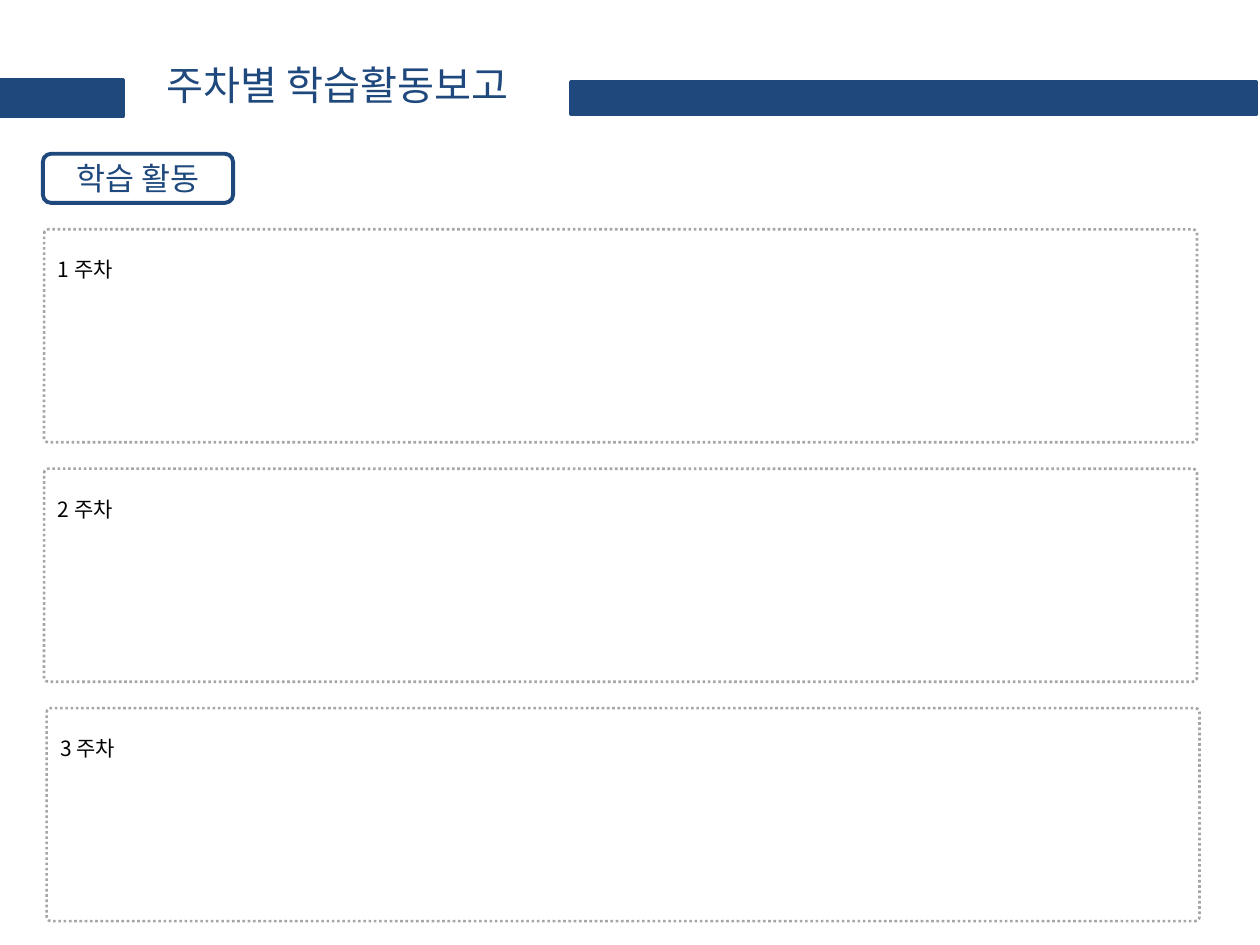
from pptx import Presentation
from pptx import util as u
from pptx.dml.color import RGBColor
from pptx.enum import dml, shapes, text
from pptx.oxml.ns import qn


class Theme:
    font = "Noto Sans CJK KR"
    navy = RGBColor(0x1F, 0x49, 0x7D)
    gray = RGBColor(0xA6, 0xA6, 0xA6)
    black = RGBColor(0, 0, 0)
    white = RGBColor(0xFF, 0xFF, 0xFF)
    title, label, body = 23, 18, 12


class Deck:
    def __init__(self, theme, slide):
        self.theme = theme
        self.slide = slide

    def letter(self, shape, words, size, color, align, anchor, top=0.05):
        """Put styled words into a shape."""
        frame = shape.text_frame
        frame.text = words
        frame.word_wrap = True
        frame.vertical_anchor = anchor
        frame.margin_top = u.Inches(top)
        para = frame.paragraphs[0]
        para.alignment = align
        font = para.runs[0].font
        font.size = u.Pt(size)
        font.name = self.theme.font
        font.color.rgb = color
        # Korean letters take the East Asian typeface
        east = font._element.makeelement(
            qn("a:ea"), {"typeface": self.theme.font})
        font._element.find(qn("a:latin")).addnext(east)

    def shape(self, kind, box, fill, line, width):
        item = self.slide.shapes.add_shape(kind, *map(u.Inches, box))
        item.shadow.inherit = False
        if fill is None:
            item.fill.background()
        else:
            item.fill.solid()
            item.fill.fore_color.rgb = fill
        item.line.color.rgb = line
        item.line.width = u.Pt(width)
        return item

    def bar(self, *box):
        navy = self.theme.navy
        self.shape(shapes.MSO_SHAPE.RECTANGLE, box, navy, navy, 2)

    def title(self, words, *box):
        item = self.slide.shapes.add_textbox(*map(u.Inches, box))
        self.letter(item, words, self.theme.title, self.theme.navy,
                    text.PP_ALIGN.LEFT, text.MSO_ANCHOR.TOP, top=0)

    def label(self, words, *box):
        look = self.theme
        item = self.shape(shapes.MSO_SHAPE.ROUNDED_RECTANGLE, box,
                          look.white, look.navy, 2.25)
        self.letter(item, words, look.label, look.navy,
                    text.PP_ALIGN.CENTER, text.MSO_ANCHOR.MIDDLE)

    def panel(self, words, *box):
        """Dotted frame with its heading near the top left."""
        look = self.theme
        item = self.shape(shapes.MSO_SHAPE.ROUNDED_RECTANGLE, box,
                          None, look.gray, 1.5)
        item.adjustments[0] = 0.02
        item.line.dash_style = dml.MSO_LINE.ROUND_DOT
        self.letter(item, words, look.body, look.black,
                    text.PP_ALIGN.LEFT, text.MSO_ANCHOR.TOP, top=0.21)


def main():
    show = Presentation()
    show.slide_width = u.Inches(10)
    show.slide_height = u.Inches(7.5)
    deck = Deck(Theme(), show.slides.add_slide(show.slide_layouts[6]))

    deck.bar(4.53, 0.65, 5.44, 0.26)
    deck.bar(-0.02, 0.63, 1, 0.29)
    deck.title("주차별 학습활동보고", 1.22, 0.48, 3.31, 0.49)
    deck.label("학습 활동", 0.34, 1.22, 1.51, 0.39)

    first, pitch = 1.82, 1.9
    for week, left in enumerate((0.35, 0.35, 0.37)):
        deck.panel(f"{week + 1} 주차", left, first + week * pitch, 9.15, 1.69)

    show.save("out.pptx")


if __name__ == "__main__":
    main()
